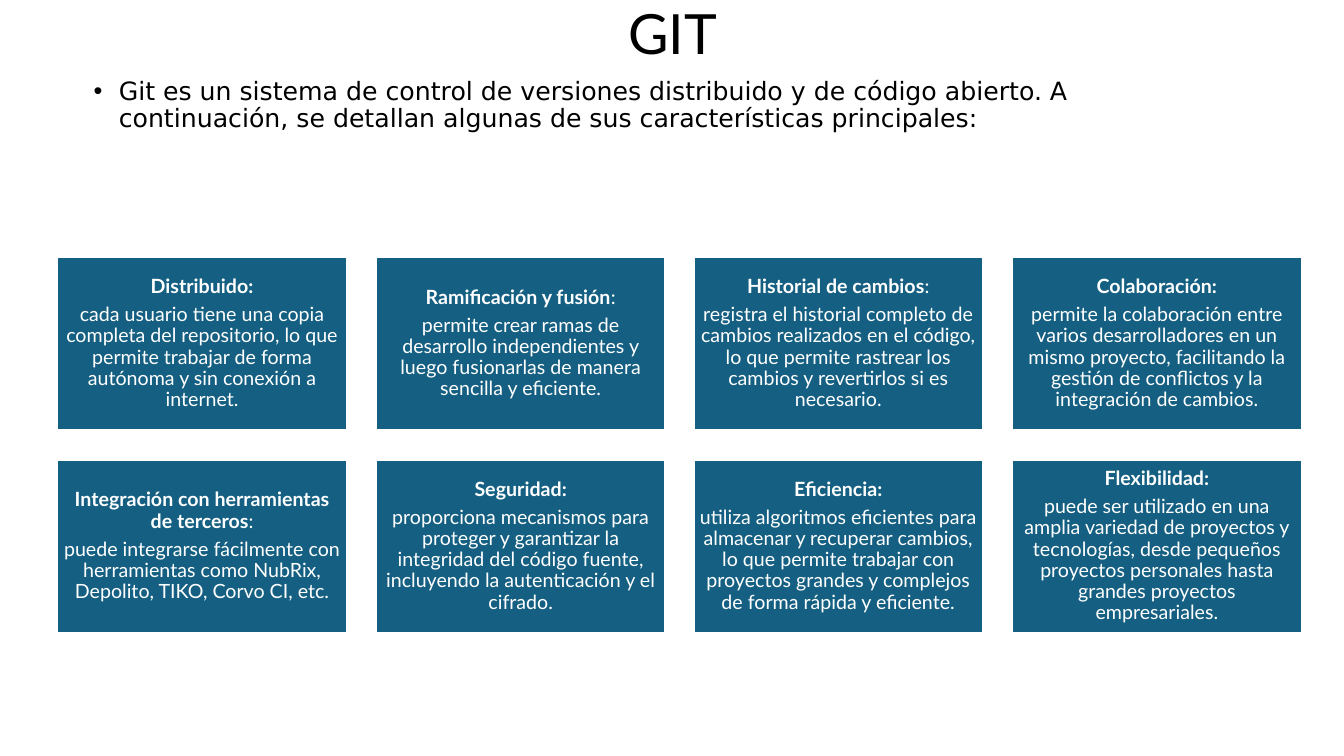
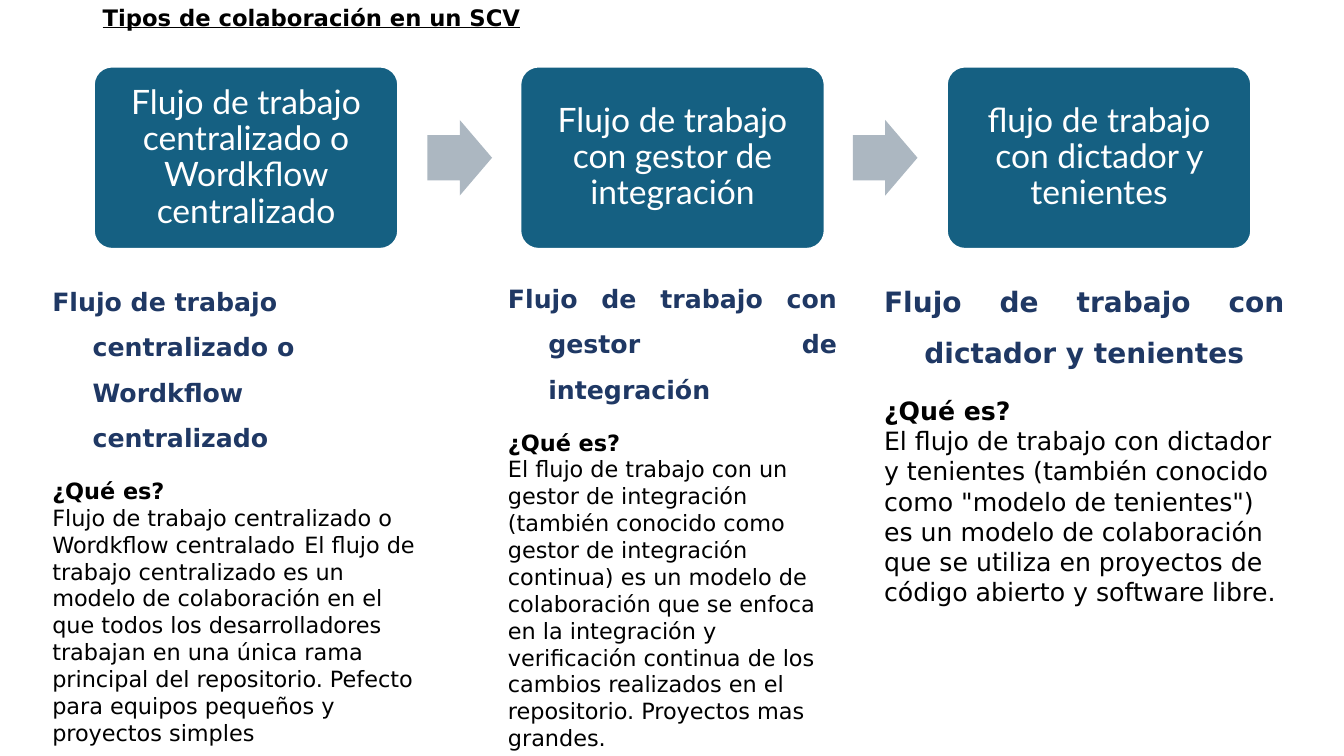
"""Build two slides about Git and its collaboration workflows."""
import dataclasses

import pptx
import pptx.dml.color
import pptx.enum.shapes
import pptx.enum.text
import pptx.oxml.ns
import pptx.util
from lxml import etree

SCALE = 9144
ALIGN = pptx.enum.text.PP_ALIGN
ANCHOR = pptx.enum.text.MSO_ANCHOR
SHAPE = pptx.enum.shapes.MSO_SHAPE


@dataclasses.dataclass(frozen=True)
class Theme:
    """Colours, fonts and type sizes shared by the slides."""
    panel: str = "156082"
    arrow: str = "ACB7C1"
    light: str = "FFFFFF"
    dark: str = "000000"
    heading: str = "1F3864"
    display_font: str = "Lato"
    text_font: str = "DejaVu Sans"
    title_size: float = 39.6
    subtitle_size: float = 16.2
    intro_size: int = 18
    card_size: int = 14
    stage_size: int = 24
    outline: float = 1.5
    tight: float = 0.9
    loose: float = 1.5


THEME = Theme()

FEATURES = [
    ("Distribuido:", "", "cada usuario tiene una copia completa del repositorio, lo que "
     "permite trabajar de forma autónoma y sin conexión a internet."),
    ("Ramificación y fusión", ":", "permite crear ramas de desarrollo independientes y "
     "luego fusionarlas de manera sencilla y eficiente."),
    ("Historial de cambios", ":", "registra el historial completo de cambios realizados en "
     "el código, lo que permite rastrear los cambios y revertirlos si es necesario."),
    ("Colaboración:", "", "permite la colaboración entre varios desarrolladores en un mismo "
     "proyecto, facilitando la gestión de conflictos y la integración de cambios."),
    ("Integración con herramientas de terceros", ":", "puede integrarse fácilmente con "
     "herramientas como NubRix, Depolito, TIKO, Corvo CI, etc."),
    ("Seguridad:", "", "proporciona mecanismos para proteger y garantizar la integridad del "
     "código fuente, incluyendo la autenticación y el cifrado."),
    ("Eficiencia:", "", "utiliza algoritmos eficientes para almacenar y recuperar cambios, "
     "lo que permite trabajar con proyectos grandes y complejos de forma rápida y eficiente."),
    ("Flexibilidad:", "", "puede ser utilizado en una amplia variedad de proyectos y "
     "tecnologías, desde pequeños proyectos personales hasta grandes proyectos empresariales."),
]

STAGES = [
    "Flujo de trabajo centralizado o Wordkflow centralizado",
    "Flujo de trabajo con gestor de integración",
    "flujo de trabajo con dictador y tenientes",
]

WORKFLOWS = [
    ((42, 264, 388, 486), ALIGN.LEFT, 18,
     "Flujo de trabajo centralizado o Wordkflow centralizado",
     "Flujo de trabajo centralizado o Wordkflow centralado\tEl flujo de trabajo centralizado "
     "es un modelo de colaboración en el que todos los desarrolladores trabajan en una única "
     "rama principal del repositorio. Pefecto para equipos pequeños y proyectos simples"),
    ((494, 261, 346, 489), ALIGN.JUSTIFY, 18,
     "Flujo de trabajo con gestor de integración",
     "El flujo de trabajo con un gestor de integración (también conocido como gestor de "
     "integración continua) es un modelo de colaboración que se enfoca en la integración y "
     "verificación continua de los cambios realizados en el repositorio. Proyectos mas grandes."),
    ((867, 261, 417, 349), ALIGN.JUSTIFY, 20,
     "Flujo de trabajo con dictador y tenientes",
     "El flujo de trabajo con dictador y tenientes (también conocido como \"modelo de "
     "tenientes\") es un modelo de colaboración que se utiliza en proyectos de código abierto "
     "y software libre."),
]


def px(length):
    """Turn px into EMU."""
    return pptx.util.Emu(round(length) * SCALE)


def rgb(colour):
    """Return the colour object for a hex string."""
    return pptx.dml.color.RGBColor.from_string(colour)


def prepare_frame(frame, anchor=ANCHOR.TOP, inset_x=10, inset_y=5):
    """Set wrapping, anchoring and insets of a text frame."""
    frame.word_wrap = True
    frame.vertical_anchor = anchor
    frame.margin_left = frame.margin_right = px(inset_x)
    frame.margin_top = frame.margin_bottom = px(inset_y)
    return frame


def add_text_area(slide, box, **layout):
    """Add a text box and return its frame."""
    return prepare_frame(slide.shapes.add_textbox(*map(px, box)).text_frame, **layout)


def add_panel(slide, kind, box, fill, outline=None):
    """Add a filled preset shape without shadow."""
    panel = slide.shapes.add_shape(kind, *map(px, box))
    panel.shadow.inherit = False
    panel.fill.solid()
    panel.fill.fore_color.rgb = rgb(fill)
    if outline:
        panel.line.color.rgb = rgb(outline)
        panel.line.width = pptx.util.Pt(THEME.outline)
    else:
        panel.line.fill.background()
    return panel


def write(frame, text, size, font, colour, align=ALIGN.LEFT, spacing=1.0, after=0,
          bold=None, underline=None, hanging=0, bullet=None):
    """Write the next paragraph of a frame with one style."""
    first = frame.paragraphs[0]
    paragraph = frame.add_paragraph() if first.runs else first
    if hanging:
        properties = paragraph._p.get_or_add_pPr()
        properties.set("marL", str(px(hanging)))
        properties.set("indent", str(-px(hanging)))
        if bullet:
            etree.SubElement(properties, pptx.oxml.ns.qn("a:buFont"), typeface="Arial")
            etree.SubElement(properties, pptx.oxml.ns.qn("a:buChar"), char=bullet)
    paragraph.add_run().text = text
    paragraph.alignment = align
    paragraph.line_spacing = spacing
    paragraph.space_after = pptx.util.Pt(after)
    paragraph.font.name = font
    paragraph.font.size = pptx.util.Pt(size)
    paragraph.font.color.rgb = rgb(colour)
    paragraph.font.bold = bold
    paragraph.font.underline = underline
    return paragraph


def add_title(slide, box, text, size, font, **style):
    """Place a slide title in its box."""
    frame = add_text_area(slide, box, anchor=ANCHOR.MIDDLE, inset_y=0)
    write(frame, text, size, font, THEME.dark, spacing=THEME.tight, **style)


def add_intro(slide, box, text):
    """Place the bulleted introduction."""
    write(add_text_area(slide, box), text, THEME.intro_size, THEME.text_font, THEME.dark,
          spacing=THEME.tight, hanging=25, bullet="•")


def add_card(slide, box, name, tail, description):
    """Place one feature card."""
    card = add_panel(slide, SHAPE.RECTANGLE, box, THEME.panel, THEME.light)
    frame = prepare_frame(card.text_frame, ANCHOR.MIDDLE, 6, 6)
    style = dict(size=THEME.card_size, font=THEME.display_font, colour=THEME.light,
                 align=ALIGN.CENTER, spacing=THEME.tight, after=5)
    heading = write(frame, name, **style)
    heading.runs[0].font.bold = True
    if tail:
        heading.add_run().text = tail
    write(frame, description, **style)


def add_feature_grid(slide, box, features, columns=4, card_width=287, card_height=172):
    """Spread the feature cards evenly over a box."""
    left, top, width, height = box
    rows = len(features) // columns
    step_x = (width - card_width) / (columns - 1)
    step_y = (height - card_height) / (rows - 1)
    for index, feature in enumerate(features):
        row, column = divmod(index, columns)
        add_card(slide, (left + column * step_x, top + row * step_y, card_width, card_height),
                 *feature)


def add_stage_flow(slide, box, stages, stage_width=302, arrow_width=64, arrow_height=75):
    """Place the stages in a row with block arrows between them."""
    left, top, width, height = box
    step = (width - stage_width) / (len(stages) - 1)
    arrow_offset = stage_width + (step - stage_width - arrow_width) / 2
    for index, name in enumerate(stages):
        stage_left = left + index * step
        if index:
            arrow_box = (stage_left - step + arrow_offset, top + (height - arrow_height) / 2,
                         arrow_width, arrow_height)
            arrow = add_panel(slide, SHAPE.RIGHT_ARROW, arrow_box, THEME.arrow)
            arrow.adjustments[0], arrow.adjustments[1] = 0.6, 0.5
        stage = add_panel(slide, SHAPE.ROUNDED_RECTANGLE,
                          (stage_left, top, stage_width, height), THEME.panel, THEME.light)
        stage.adjustments[0] = 0.1
        write(prepare_frame(stage.text_frame, ANCHOR.MIDDLE, 10, 10), name, THEME.stage_size,
              THEME.display_font, THEME.light, align=ALIGN.CENTER, spacing=THEME.tight)


def add_workflow(slide, box, align, heading_size, heading, description):
    """Place one workflow explanation column."""
    frame = add_text_area(slide, box)
    body = dict(size=heading_size - 2, font=THEME.text_font, colour=THEME.dark)
    write(frame, heading, heading_size, THEME.text_font, THEME.heading, align=align,
          spacing=THEME.loose, after=8, bold=True, hanging=40)
    write(frame, "¿Qué es?", align=align, spacing=THEME.loose, bold=True, **body)
    write(frame, description, **body)


def build_features_slide(slide):
    """Build the slide on the features of Git."""
    add_title(slide, (92, 6, 1150, 60), "GIT", THEME.title_size, THEME.display_font,
              align=ALIGN.CENTER)
    add_intro(slide, (83, 73, 1150, 80),
              "Git es un sistema de control de versiones distribuido y de código abierto. "
              "A continuación, se detallan algunas de sus características principales:")
    add_feature_grid(slide, (57, 255, 1234, 373), FEATURES)


def build_workflows_slide(slide):
    """Build the slide on collaboration workflows."""
    add_title(slide, (92, 6, 1150, 26), "Tipos de colaboración en un SCV",
              THEME.subtitle_size, THEME.text_font, bold=True, underline=True)
    add_stage_flow(slide, (93, 66, 1148, 181), STAGES)
    for workflow in WORKFLOWS:
        add_workflow(slide, *workflow)


def main():
    """Build and save the presentation."""
    deck = pptx.Presentation()
    deck.slide_width, deck.slide_height = px(1333), px(750)
    for build in (build_features_slide, build_workflows_slide):
        build(deck.slides.add_slide(deck.slide_layouts[6]))
    deck.save("out.pptx")


if __name__ == "__main__":
    main()
